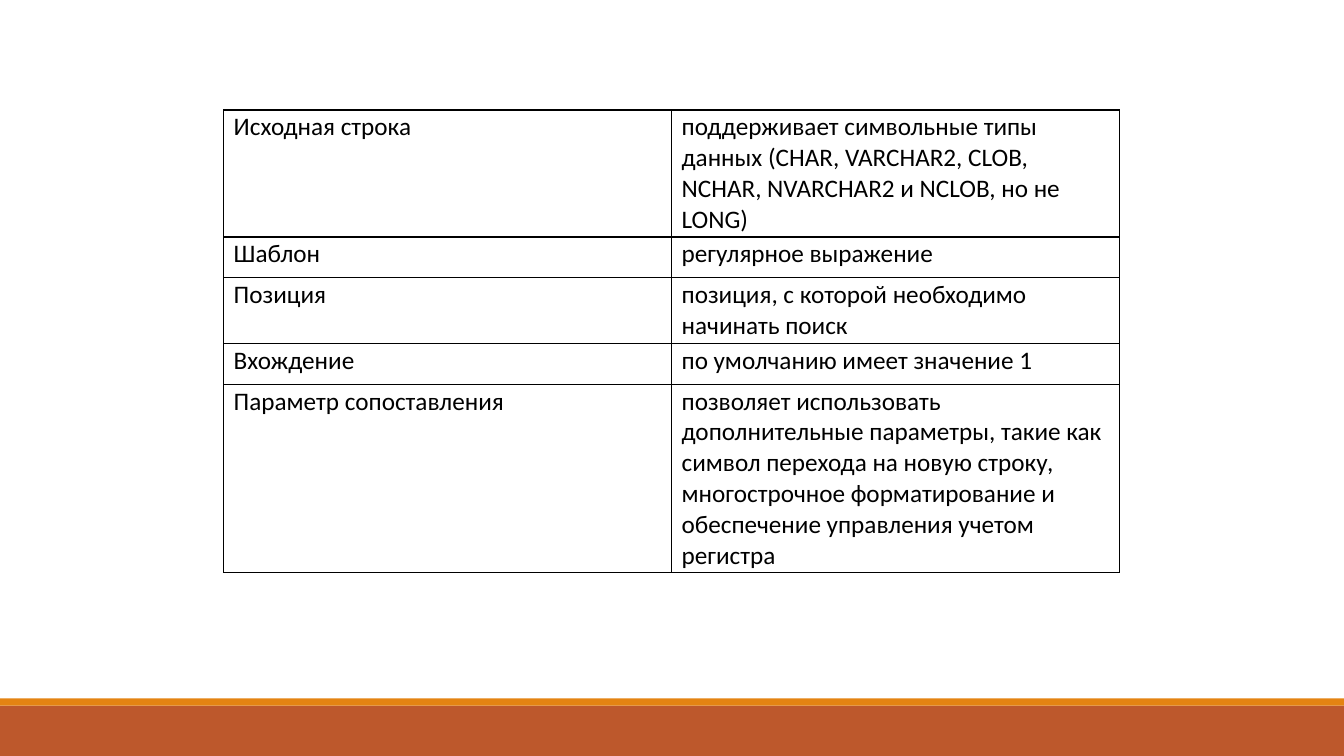
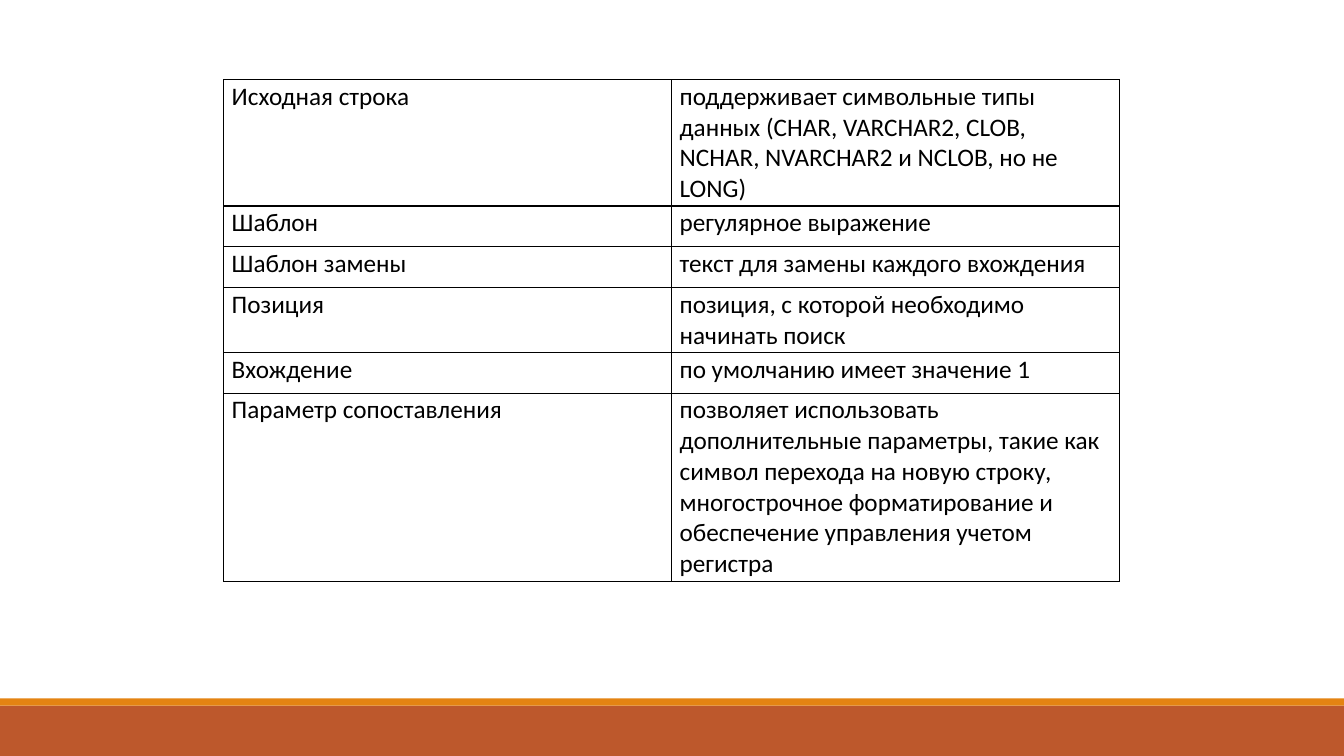
from lxml.etree import SubElement
from pptx import Presentation
from pptx.dml.color import RGBColor
from pptx.enum.shapes import MSO_SHAPE
from pptx.oxml.ns import qn
from pptx.util import Cm, Pt

BLACK = RGBColor(0x00, 0x00, 0x00)
WHITE = RGBColor(0xFF, 0xFF, 0xFF)
RUST = RGBColor(0xBD, 0x58, 0x2C)
ORANGE = RGBColor(0xE4, 0x83, 0x12)

SOURCE_AND_PATTERN = [
    ("Исходная строка",
     "поддерживает символьные типы данных (CHAR, VARCHAR2, CLOB, NCHAR, NVARCHAR2 и NCLOB, но не LONG)"),
    ("Шаблон", "регулярное выражение"),
]
REPLACEMENT = [("Шаблон замены", "текст для замены каждого вхождения")]
SEARCH_OPTIONS = [
    ("Позиция", "позиция, с которой необходимо начинать поиск"),
    ("Вхождение", "по умолчанию имеет значение 1"),
    ("Параметр сопоставления",
     "позволяет использовать дополнительные параметры, такие как символ перехода на новую строку, "
     "многострочное форматирование и обеспечение управления учетом регистра"),
]


class Deck:
    width, height = 33.87, 19.05
    font_name, font_size = "Calibri", 18
    table_left, column_width, row_height = 5.64, 11.29, 1.03
    border_width = 1

    def __init__(self):
        self.presentation = Presentation()
        self.presentation.slide_width = Cm(self.width)
        self.presentation.slide_height = Cm(self.height)
        self.slide = None

    def add_slide(self):
        self.slide = self.presentation.slides.add_slide(self.presentation.slide_layouts[6])
        background = self.slide.background.fill
        background.solid()
        background.fore_color.rgb = WHITE
        self.add_band(17.78, 1.27, RUST)
        self.add_band(17.6, 0.18, ORANGE)

    def add_band(self, top, height, color):
        shape = self.slide.shapes.add_shape(
            MSO_SHAPE.RECTANGLE, 0, Cm(top), Cm(self.width), Cm(height))
        shape.shadow.inherit = False
        shape.fill.solid()
        shape.fill.fore_color.rgb = color
        shape.line.fill.background()

    def add_table(self, rows, top, side_margin, edge_margin):
        table = self.slide.shapes.add_table(
            len(rows), 2, Cm(self.table_left), Cm(top),
            Cm(2 * self.column_width), Cm(len(rows) * self.row_height)).table
        table.first_row = table.horz_banding = False
        for column in table.columns:
            column.width = Cm(self.column_width)
        for table_row, texts in zip(table.rows, rows):
            table_row.height = Cm(self.row_height)
            for cell, text in zip(table_row.cells, texts):
                cell.margin_left = cell.margin_right = Cm(side_margin)
                cell.margin_top = cell.margin_bottom = Cm(edge_margin)
                self.style_cell(cell, text)

    def style_cell(self, cell, text):
        self.add_borders(cell)
        cell.fill.solid()
        cell.fill.fore_color.rgb = WHITE
        cell.text_frame.text = text
        font = cell.text_frame.paragraphs[0].runs[0].font
        font.name = self.font_name
        font.size = Pt(self.font_size)
        font.color.rgb = BLACK

    def add_borders(self, cell):
        properties = cell._tc.get_or_add_tcPr()
        for side in ("a:lnL", "a:lnR", "a:lnT", "a:lnB"):
            line = SubElement(properties, qn(side), w=str(Pt(self.border_width)))
            fill = SubElement(line, qn("a:solidFill"))
            SubElement(fill, qn("a:srgbClr"), val=str(BLACK))

    def save(self):
        self.presentation.save("out.pptx")


def main():
    deck = Deck()
    deck.add_slide()
    deck.add_table(SOURCE_AND_PATTERN + SEARCH_OPTIONS, 2.77, 0.25, 0.05)
    deck.add_slide()
    deck.add_table(SOURCE_AND_PATTERN + REPLACEMENT + SEARCH_OPTIONS, 2.01, 0.2, 0.04)
    deck.save()


if __name__ == "__main__":
    main()
